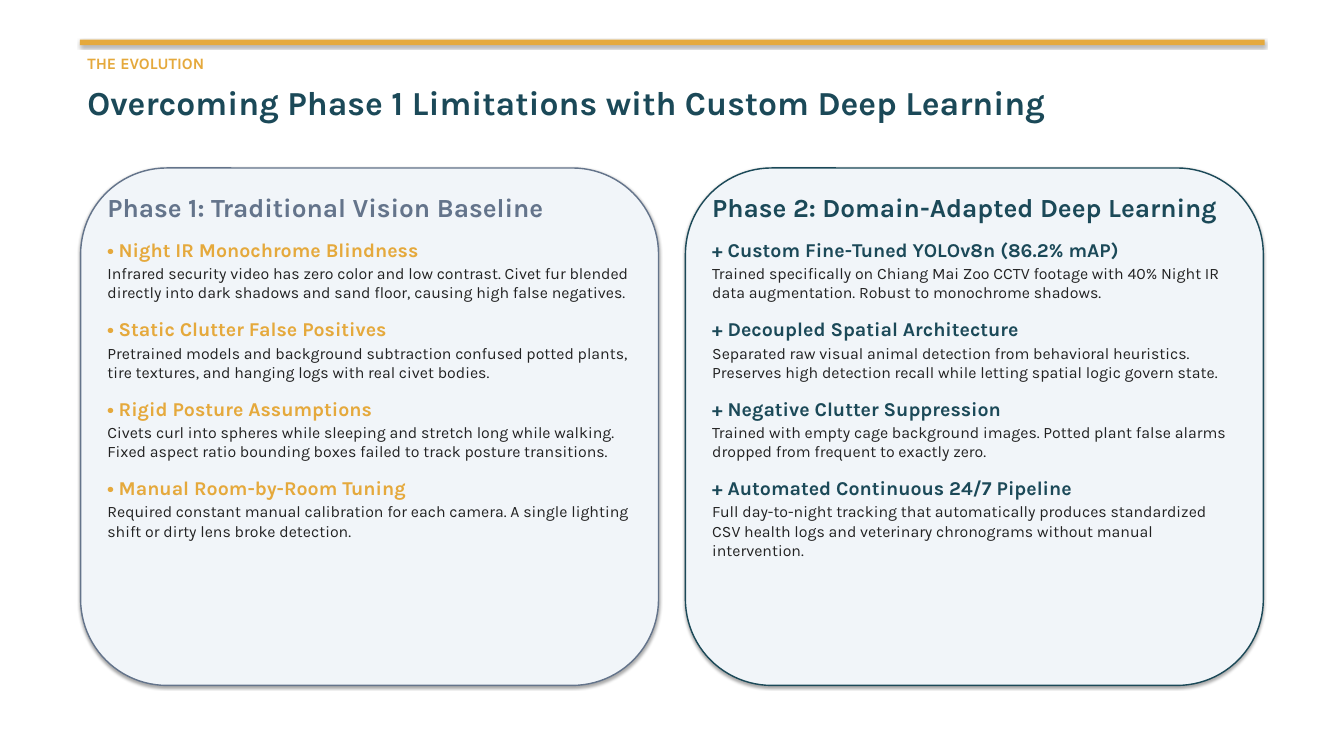
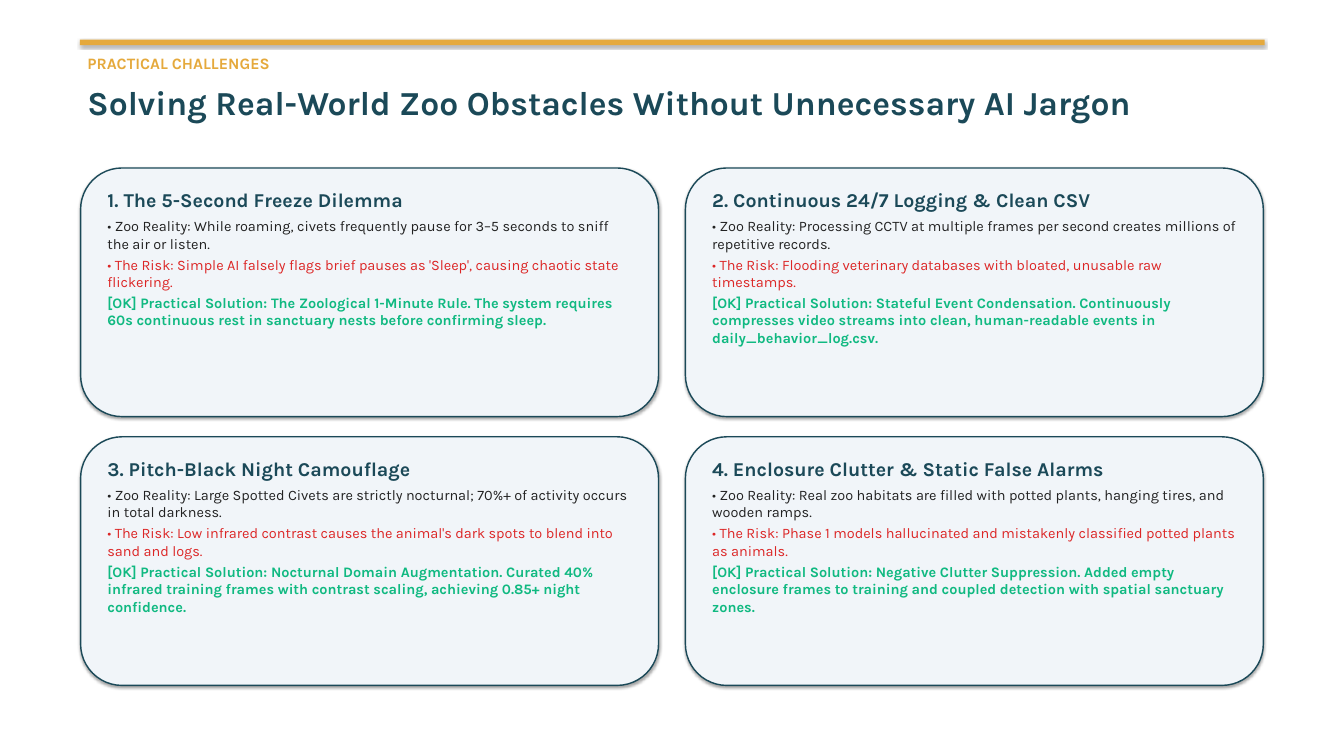
from dataclasses import dataclass
from typing import NamedTuple

from pptx import Presentation
from pptx.dml.color import RGBColor as RGB
from pptx.enum.shapes import MSO_SHAPE as SHAPE
from pptx.enum.text import MSO_ANCHOR as ANCHOR, MSO_AUTO_SIZE as AUTO, PP_ALIGN as ALIGN
from pptx.util import Pt


class Box(NamedTuple):
    x: float
    y: float
    w: float
    h: float

    def inset(self, dx, dy):
        return Box(self.x + dx, self.y + dy, self.w - 2 * dx, self.h - 2 * dy)

    def points(self):
        return [Pt(v) for v in self]


class Style(NamedTuple):
    size: float
    color: RGB
    bold: bool = True
    before: float = 0


@dataclass(frozen=True)
class Theme:
    font: str = "Karla"
    gold: RGB = RGB(0xE5, 0xA9, 0x3C)
    teal: RGB = RGB(0x1B, 0x49, 0x58)
    slate: RGB = RGB(0x64, 0x74, 0x8B)
    ink: RGB = RGB(0x22, 0x22, 0x22)
    red: RGB = RGB(0xDC, 0x26, 0x26)
    green: RGB = RGB(0x10, 0xB9, 0x81)
    panel: RGB = RGB(0xF1, 0xF5, 0xF9)
    title: float = 36
    heading: float = 28
    subheading: float = 21
    body: float = 17
    note: float = 15.5


T = Theme()
HEADER = Box(85.68, 42.48, 1269.36, 113.76)
CONTENT = Box(86.4, 180, 1267.2, 554.4)
GAP_X, GAP_Y = 28.8, 21.6

PHASES = [
    ("Phase 1: Traditional Vision Baseline", T.slate, T.gold, [
        ("• Night IR Monochrome Blindness",
         "Infrared security video has zero color and low contrast. Civet fur blended directly into "
         "dark shadows and sand floor, causing high false negatives."),
        ("• Static Clutter False Positives",
         "Pretrained models and background subtraction confused potted plants, tire textures, and "
         "hanging logs with real civet bodies."),
        ("• Rigid Posture Assumptions",
         "Civets curl into spheres while sleeping and stretch long while walking. Fixed aspect "
         "ratio bounding boxes failed to track posture transitions."),
        ("• Manual Room-by-Room Tuning",
         "Required constant manual calibration for each camera. A single lighting shift or dirty "
         "lens broke detection."),
    ]),
    ("Phase 2: Domain-Adapted Deep Learning", T.teal, T.teal, [
        ("+ Custom Fine-Tuned YOLOv8n (86.2% mAP)",
         "Trained specifically on Chiang Mai Zoo CCTV footage with 40% Night IR data augmentation. "
         "Robust to monochrome shadows."),
        ("+ Decoupled Spatial Architecture",
         "Separated raw visual animal detection from behavioral heuristics. Preserves high "
         "detection recall while letting spatial logic govern state."),
        ("+ Negative Clutter Suppression",
         "Trained with empty cage background images. Potted plant false alarms dropped from "
         "frequent to exactly zero."),
        ("+ Automated Continuous 24/7 Pipeline",
         "Full day-to-night tracking that automatically produces standardized CSV health logs and "
         "veterinary chronograms without manual intervention."),
    ]),
]

CHALLENGES = [
    ("1. The 5-Second Freeze Dilemma",
     "While roaming, civets frequently pause for 3–5 seconds to sniff the air or listen.",
     "Simple AI falsely flags brief pauses as 'Sleep', causing chaotic state flickering.",
     "The Zoological 1-Minute Rule. The system requires 60s continuous rest in sanctuary nests "
     "before confirming sleep."),
    ("2. Continuous 24/7 Logging & Clean CSV",
     "Processing CCTV at multiple frames per second creates millions of repetitive records.",
     "Flooding veterinary databases with bloated, unusable raw timestamps.",
     "Stateful Event Condensation. Continuously compresses video streams into clean, "
     "human-readable events in daily_behavior_log.csv."),
    ("3. Pitch-Black Night Camouflage",
     "Large Spotted Civets are strictly nocturnal; 70%+ of activity occurs in total darkness.",
     "Low infrared contrast causes the animal's dark spots to blend into sand and logs.",
     "Nocturnal Domain Augmentation. Curated 40% infrared training frames with contrast scaling, "
     "achieving 0.85+ night confidence."),
    ("4. Enclosure Clutter & Static False Alarms",
     "Real zoo habitats are filled with potted plants, hanging tires, and wooden ramps.",
     "Phase 1 models hallucinated and mistakenly classified potted plants as animals.",
     "Negative Clutter Suppression. Added empty enclosure frames to training and coupled "
     "detection with spatial sanctuary zones."),
]


def grid(box, cols, rows):
    w = (box.w - GAP_X * (cols - 1)) / cols
    h = (box.h - GAP_Y * (rows - 1)) / rows
    return [Box(box.x + c * (w + GAP_X), box.y + r * (h + GAP_Y), w, h)
            for r in range(rows) for c in range(cols)]


def write(sp, lines, margin=None):
    tf = sp.text_frame
    tf.word_wrap = True
    tf.auto_size = AUTO.SHAPE_TO_FIT_TEXT
    tf.vertical_anchor = ANCHOR.TOP
    if margin is not None:
        tf.margin_left = tf.margin_top = tf.margin_right = tf.margin_bottom = Pt(margin)
    tf.text = "\n".join(text for text, _ in lines)
    for p, (_, style) in zip(tf.paragraphs, lines):
        p.alignment = ALIGN.LEFT
        if style.before:
            p.space_before = Pt(style.before)
        for r in p.runs:
            r.font.name = T.font
            r.font.size = Pt(style.size)
            r.font.bold = style.bold
            r.font.color.rgb = style.color


def add_header(s, box, kicker, title):
    bar = s.shapes.add_shape(SHAPE.RECTANGLE, *box._replace(h=5.76).points())
    bar.fill.solid()
    bar.fill.fore_color.rgb = T.gold
    bar.line.fill.background()
    text = box.inset(7.92, 0)
    sp = s.shapes.add_textbox(*text._replace(y=box.y + 15.12, h=28.8).points())
    write(sp, [(kicker, Style(T.body, T.gold))], margin=0)
    sp = s.shapes.title
    sp.left, sp.top, sp.width, sp.height = text._replace(y=box.y + 45.36, h=68.4).points()
    write(sp, [(title, Style(T.title, T.teal))], margin=0)


def add_card(s, box, color, lines, pad_y):
    sp = s.shapes.add_shape(SHAPE.ROUNDED_RECTANGLE, *box.points())
    sp.fill.solid()
    sp.fill.fore_color.rgb = T.panel
    sp.line.color.rgb = color
    sp.line.width = Pt(1.5)
    write(s.shapes.add_textbox(*box.inset(21.6, pad_y).points()), lines)


def add_phase(s, box, name, color, accent, points):
    lines = [(name, Style(T.heading, color))]
    for point, detail in points:
        lines += [(point, Style(T.subheading, accent, before=16)),
                  (detail, Style(T.body, T.ink, bold=False, before=3))]
    add_card(s, box, color, lines, pad_y=21.6)


def add_challenge(s, box, name, reality, risk, solution):
    add_card(s, box, T.teal, [
        (name, Style(T.subheading, T.teal)),
        (f"• Zoo Reality: {reality}", Style(T.note, T.ink, bold=False, before=6)),
        (f"• The Risk: {risk}", Style(T.note, T.red, bold=False, before=4)),
        (f"[OK] Practical Solution: {solution}", Style(T.note, T.green, before=4)),
    ], pad_y=18)


def add_slide(prs, kicker, title, add_item, items, cols, rows):
    s = prs.slides.add_slide(prs.slide_layouts[5])
    add_header(s, HEADER, kicker, title)
    for box, item in zip(grid(CONTENT, cols, rows), items):
        add_item(s, box, *item)


def main():
    prs = Presentation()
    prs.slide_width, prs.slide_height = Pt(1440), Pt(810)
    add_slide(prs, "THE EVOLUTION", "Overcoming Phase 1 Limitations with Custom Deep Learning",
              add_phase, PHASES, cols=2, rows=1)
    add_slide(prs, "PRACTICAL CHALLENGES",
              "Solving Real-World Zoo Obstacles Without Unnecessary AI Jargon",
              add_challenge, CHALLENGES, cols=2, rows=2)
    prs.save("out.pptx")


if __name__ == "__main__":
    main()
